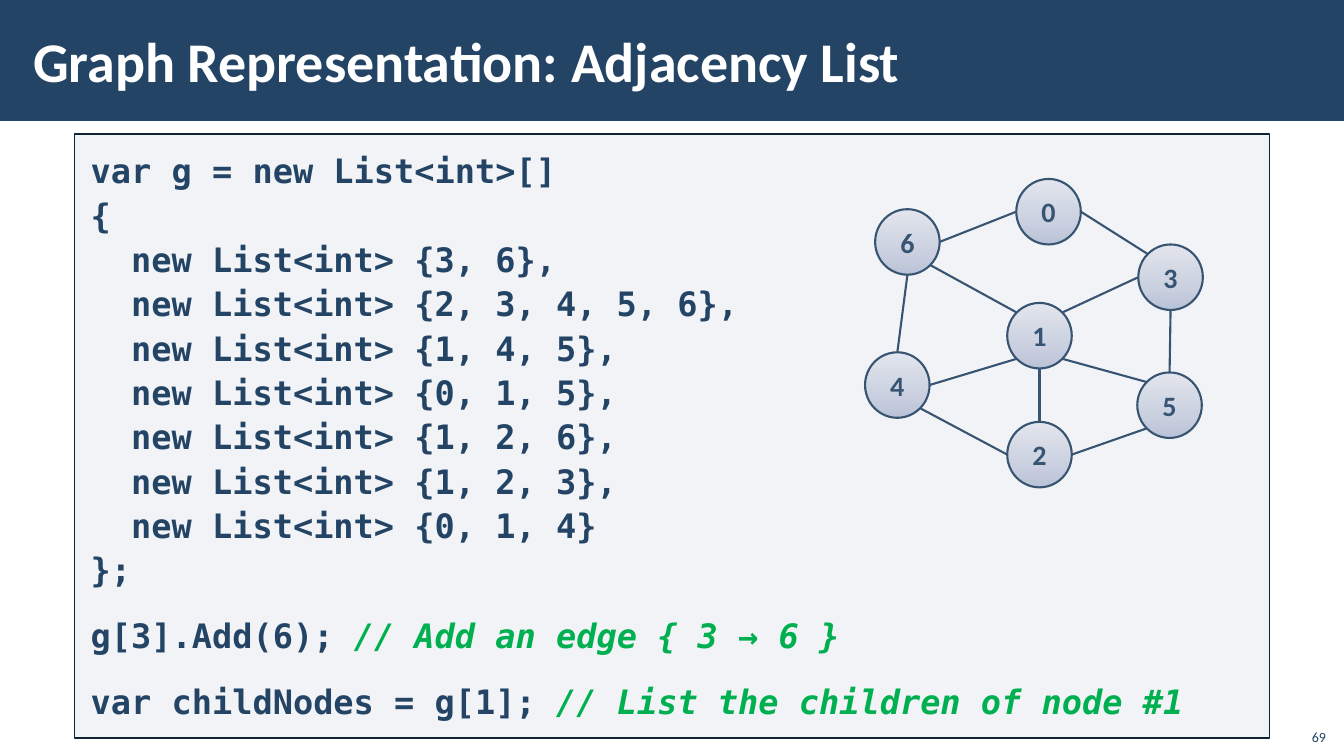
from dataclasses import dataclass
from math import sqrt

from lxml import etree
from pptx import Presentation
from pptx.dml.color import RGBColor
from pptx.enum.shapes import MSO_CONNECTOR, MSO_SHAPE
from pptx.enum.text import MSO_ANCHOR, PP_ALIGN
from pptx.oxml import parse_xml
from pptx.oxml.ns import nsdecls, qn
from pptx.util import Emu, Pt

RECT, OVAL = MSO_SHAPE.RECTANGLE, MSO_SHAPE.OVAL
LINE = MSO_CONNECTOR.STRAIGHT
TOP, MID, LOW = MSO_ANCHOR.TOP, MSO_ANCHOR.MIDDLE, MSO_ANCHOR.BOTTOM
LEFT, MIDST, RIGHT = PP_ALIGN.LEFT, PP_ALIGN.CENTER, PP_ALIGN.RIGHT
SCALE = 9144  # EMU per px, 100 px to the inch


@dataclass(frozen=True)
class Theme:
    navy: str = "234465"
    white: str = "FFFFFF"
    green: str = "00B050"
    panel: str = "ADB4C3"
    edge: str = "112233"
    shade: tuple = ((0, "BCC5DB"), (35, "D0D6E5"), (100, "EDEFF5"))
    sans: str = "Calibri"
    mono: str = "DejaVu Sans Mono"
    title: int = 40
    code: int = 24
    node: int = 20
    page: int = 10


THEME = Theme()

# Node centres and size
WIDE, HIGH = 64, 65
NODES = {0: (1040, 210), 6: (900, 240), 4: (890, 382), 1: (1031, 333),
         5: (1160, 402), 2: (1031, 451), 3: (1161, 275)}

# Points on a node's rim, by compass direction
D = 1 / sqrt(2)
RIM = {"n": (0, -1), "s": (0, 1), "w": (-1, 0), "e": (1, 0),
       "nw": (-D, -D), "ne": (D, -D), "sw": (-D, D), "se": (D, D)}
EDGES = [(0, "w", 6, "e"), (0, "e", 3, "nw"), (3, "s", 5, "n"),
         (6, "se", 1, "nw"), (6, "s", 4, "n"), (4, "se", 2, "w"),
         (3, "w", 1, "ne"), (1, "s", 2, "n"), (5, "sw", 2, "e"),
         (4, "e", 1, "sw"), (1, "se", 5, "nw")]

# Code lines: code, comment, space before
GAP = 15.5
CODE = [
    ("var g = new List<int>[]", "", 0),
    ("{", "", 0),
    ("  new List<int> {3, 6},", "", 0),
    ("  new List<int> {2, 3, 4, 5, 6},", "", 0),
    ("  new List<int> {1, 4, 5},", "", 0),
    ("  new List<int> {0, 1, 5},", "", 0),
    ("  new List<int> {1, 2, 6},", "", 0),
    ("  new List<int> {1, 2, 3},", "", 0),
    ("  new List<int> {0, 1, 4}", "", 0),
    ("};", "", 0),
    ("g[3].Add(6); ", "// Add an edge { 3 → 6 }", GAP),
    ("var childNodes = g[1]; ", "// List the children of node #1", GAP),
]


def px(n):
    return Emu(round(n * SCALE))


def rgb(tint):
    return RGBColor.from_string(tint)


def style(font, face, size, tint, bold=True):
    font.name, font.size, font.bold = face, Pt(size), bold
    font.color.rgb = rgb(tint)


def frame(shape, inset, anchor):
    text = shape.text_frame
    text.word_wrap = True
    text.vertical_anchor = anchor
    text.margin_left = text.margin_right = px(inset[0])
    text.margin_top = text.margin_bottom = px(inset[1])
    return text


def label(shape, words, size, tint, inset, anchor, align, bold=True):
    para = frame(shape, inset, anchor).paragraphs[0]
    para.alignment = align
    para.add_run().text = words
    style(para.font, THEME.sans, size, tint, bold)


def box(shapes, kind, area, fill=None, line=None, width=1):
    shape = shapes.add_shape(kind, *map(px, area))
    shape.shadow.inherit = False
    if fill:
        shape.fill.solid()
        shape.fill.fore_color.rgb = rgb(fill)
    if line:
        shape.line.color.rgb = rgb(line)
        shape.line.width = Pt(width)
    else:
        shape.line.fill.background()
    return shape


def note(shapes, area, *args):
    label(shapes.add_textbox(*map(px, area)), *args)


def node(shapes, key):
    x, y = NODES[key]
    area = (x - WIDE / 2, y - HIGH / 2, WIDE, HIGH)
    ball = box(shapes, OVAL, area, line=THEME.navy, width=1.5)
    stops = "".join(f'<a:gs pos="{at * 1000}"><a:srgbClr val="{tint}"/></a:gs>'
                    for at, tint in THEME.shade)
    grad = parse_xml(f'<a:gradFill {nsdecls("a")}><a:gsLst>{stops}</a:gsLst>'
                     '<a:lin ang="16200000" scaled="0"/></a:gradFill>')
    ball._element.spPr.find(qn("a:prstGeom")).addnext(grad)
    label(ball, str(key), THEME.node, THEME.navy, (4, 5), MID, MIDST)


def rim(key, side):
    x, y = NODES[key]
    dx, dy = RIM[side]
    return px(x + dx * WIDE / 2), px(y + dy * HIGH / 2)


def edge(shapes, a, out, b, into):
    link = shapes.add_connector(LINE, *rim(a, out), *rim(b, into))
    link.line.color.rgb = rgb(THEME.navy)
    link.line.width = Pt(1.5)
    etree.SubElement(link._element.spPr, qn("a:effectLst"))


def graph(slide):
    group = slide.shapes.add_group_shape().shapes
    for key in NODES:
        node(group, key)
    for ends in EDGES:
        edge(group, *ends)


def listing(slide):
    panel = box(slide.shapes, RECT, (74, 133, 1185, 599),
                THEME.panel, THEME.edge)
    tint = panel._element.spPr.find(qn("a:solidFill"))[0]
    etree.SubElement(tint, qn("a:alpha")).set("val", "15000")
    text = frame(panel, (16, 12), TOP)
    for i, (code, remark, gap) in enumerate(CODE):
        para = text.add_paragraph() if i else text.paragraphs[0]
        props = para._p.get_or_add_pPr()
        props.set("marL", str(px(39)))
        props.set("indent", str(px(-39)))
        para.alignment = LEFT
        para.line_spacing = 1.1
        para.space_before = Pt(gap)
        para.add_run().text = code
        style(para.font, THEME.mono, THEME.code, THEME.navy)
        if remark:
            run = para.add_run()
            run.text = remark
            run.font.italic = True
            run.font.color.rgb = rgb(THEME.green)


def main():
    deck = Presentation()
    deck.slide_width, deck.slide_height = px(1333), px(750)
    slide = deck.slides.add_slide(deck.slide_layouts[6])
    shapes = slide.shapes

    # Header band and title
    box(shapes, RECT, (0, 0, 1333, 120), THEME.navy)
    note(shapes, (21, 11, 1071, 97), "Graph Representation: Adjacency List",
         THEME.title, THEME.white, (12, 4), MID, LEFT)

    # Graph, page number, then the see-through code panel on top
    graph(slide)
    note(shapes, (1285, 712, 40, 32), "69", THEME.page, THEME.navy,
         (10, 5), LOW, RIGHT, False)
    listing(slide)

    deck.save("out.pptx")


if __name__ == "__main__":
    main()
